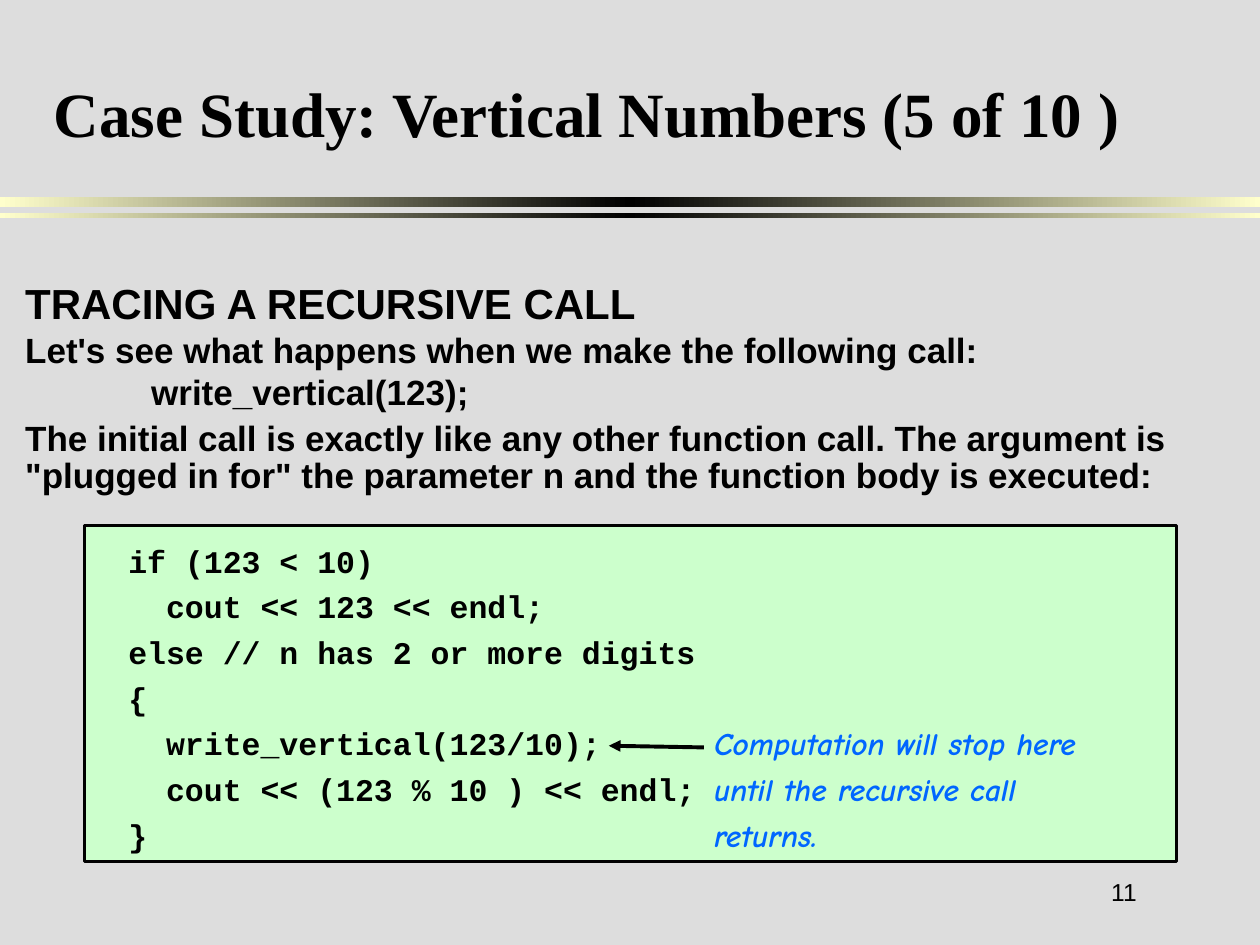
from copy import deepcopy

from lxml import etree
from pptx import Presentation
from pptx import util as u
from pptx.dml.color import RGBColor
from pptx.enum import shapes, text
from pptx.oxml.ns import qn

BLACK = RGBColor(0, 0, 0)
GREY = RGBColor(0xDD, 0xDD, 0xDD)
CREAM = RGBColor(0xFF, 0xFF, 0xCC)
GREEN = RGBColor(0xCC, 0xFF, 0xCC)
BLUE = RGBColor(0x00, 0x66, 0xFF)

INTRO = [  # text, size, line spacing, space before, indent in inches
    ("TRACING A RECURSIVE CALL", 24, 0.8, 0, 0),
    ("Let's see what happens when we make the following call:", 20, 0.8, 5, 0),
    ("write_vertical(123);", 20, 0.8, 5, 1),
    ("The initial call is exactly like any other function call. The argument is "
     "\"plugged in for\" the parameter n and the function body is executed:",
     20, 0.9, 5, 0),
]
CODE = [  # code, note beside it
    ("if (123 < 10)", ""),
    ("  cout << 123 << endl;", ""),
    ("else // n has 2 or more digits", ""),
    ("{", ""),
    ("  write_vertical(123/10);", "Computation will stop here"),
    ("  cout << (123 % 10 ) << endl;", "until the recursive call"),
    ("}", "returns."),
]
NOTE_TAB = 4.65


def add_run(p, words, size, font="Arial", color=BLACK, bold=True, italic=False):
    r = p.add_run()
    r.text = words
    f = r.font
    f.size, f.name, f.bold, f.italic = u.Pt(size), font, bold, italic
    f.color.rgb = color


def add_text(s, box, anchor=text.MSO_ANCHOR.TOP):
    tf = s.shapes.add_textbox(*(u.Inches(v) for v in box)).text_frame
    tf.word_wrap = True
    tf.vertical_anchor = anchor
    return tf


def next_paragraph(tf, index):
    return tf.add_paragraph() if index else tf.paragraphs[0]


def add_rect(s, box):
    sp = s.shapes.add_shape(shapes.MSO_SHAPE.RECTANGLE,
                            *(u.Inches(v) for v in box))
    sp.shadow.inherit = False
    return sp


def add_rules(s, box):
    """Thick and thin bars that fade from black to cream at both ends."""
    x, y, w, h = box
    for top, height in ((0, 0.48), (0.76, 0.24)):
        sp = add_rect(s, (x, y + top * h, w, height * h))
        sp.line.fill.background()
        sp.fill.gradient()
        sp.fill.gradient_angle = 0
        stops = sp.fill.gradient_stops
        for stop, color in zip(stops, (CREAM, BLACK)):
            stop.color.rgb = color
        stops[1].position = 0.5
        stop_list = sp.fill._fill._gradFill.gsLst
        end = deepcopy(stop_list[0])
        end.set("pos", "100000")
        stop_list.append(end)


def add_title(s, box):
    tf = add_text(s, box, text.MSO_ANCHOR.BOTTOM)
    add_run(tf.paragraphs[0], "Case Study: Vertical Numbers (5 of 10 )", 36,
            "Times New Roman")


def add_intro(s, box):
    tf = add_text(s, box)
    tf.margin_left = u.Inches(0.2)
    for i, (words, size, spacing, before, indent) in enumerate(INTRO):
        p = next_paragraph(tf, i)
        p.line_spacing, p.space_before = spacing, u.Pt(before)
        p._p.get_or_add_pPr().set("marL", str(u.Inches(indent)))
        add_run(p, words, size)


def add_code(s, box):
    x, y, w, h = box
    panel = add_rect(s, box)
    panel.fill.solid()
    panel.fill.fore_color.rgb = GREEN
    panel.line.color.rgb = BLACK
    panel.line.width = u.Pt(1.5)

    # Arrow from the note back to the recursive call
    arrow = s.shapes.add_connector(
        shapes.MSO_CONNECTOR.STRAIGHT,
        *(u.Inches(v) for v in (x + 0.48 * w, y + 0.655 * h,
                                x + 0.567 * w, y + 0.66 * h)))
    arrow.line.color.rgb = BLACK
    arrow.line.width = u.Pt(2.25)
    etree.SubElement(arrow.line._get_or_add_ln(), qn("a:headEnd"), type="triangle")
    etree.SubElement(arrow._element.spPr, qn("a:effectLst"))

    # Code lines, with notes lined up at a tab stop
    tf = add_text(s, (x + 0.25, y + 0.08, w - 0.5, h - 0.08))
    for i, (code, note) in enumerate(CODE):
        p = next_paragraph(tf, i)
        p.space_before = u.Pt(4.5 if i else 0)
        if note:
            tabs = etree.SubElement(p._p.get_or_add_pPr(), qn("a:tabLst"))
            etree.SubElement(tabs, qn("a:tab"), pos=str(u.Inches(NOTE_TAB)),
                             algn="l")
        add_run(p, code + ("\t" if note else ""), 18, "Courier New")
        if note:
            add_run(p, note, 18, "Comic Neue", BLUE, italic=True)


def add_number(s, box):
    tf = add_text(s, box, text.MSO_ANCHOR.MIDDLE)
    p = tf.paragraphs[0]
    p.alignment = text.PP_ALIGN.RIGHT
    add_run(p, "11", 14, bold=False)


def main():
    prs = Presentation()
    prs.slide_width, prs.slide_height = u.Inches(10), u.Inches(7.5)
    s = prs.slides.add_slide(prs.slide_layouts[6])
    s.background.fill.solid()
    s.background.fill.fore_color.rgb = GREY

    add_rules(s, (0, 1.56, 10, 0.17))
    add_title(s, (0.33, 0.24, 8.92, 1))
    add_intro(s, (0, 2.23, 10, 1.8))
    add_code(s, (0.67, 4.17, 8.67, 2.67))
    add_number(s, (8.45, 6.83, 0.67, 0.5))
    prs.save("out.pptx")


if __name__ == "__main__":
    main()
